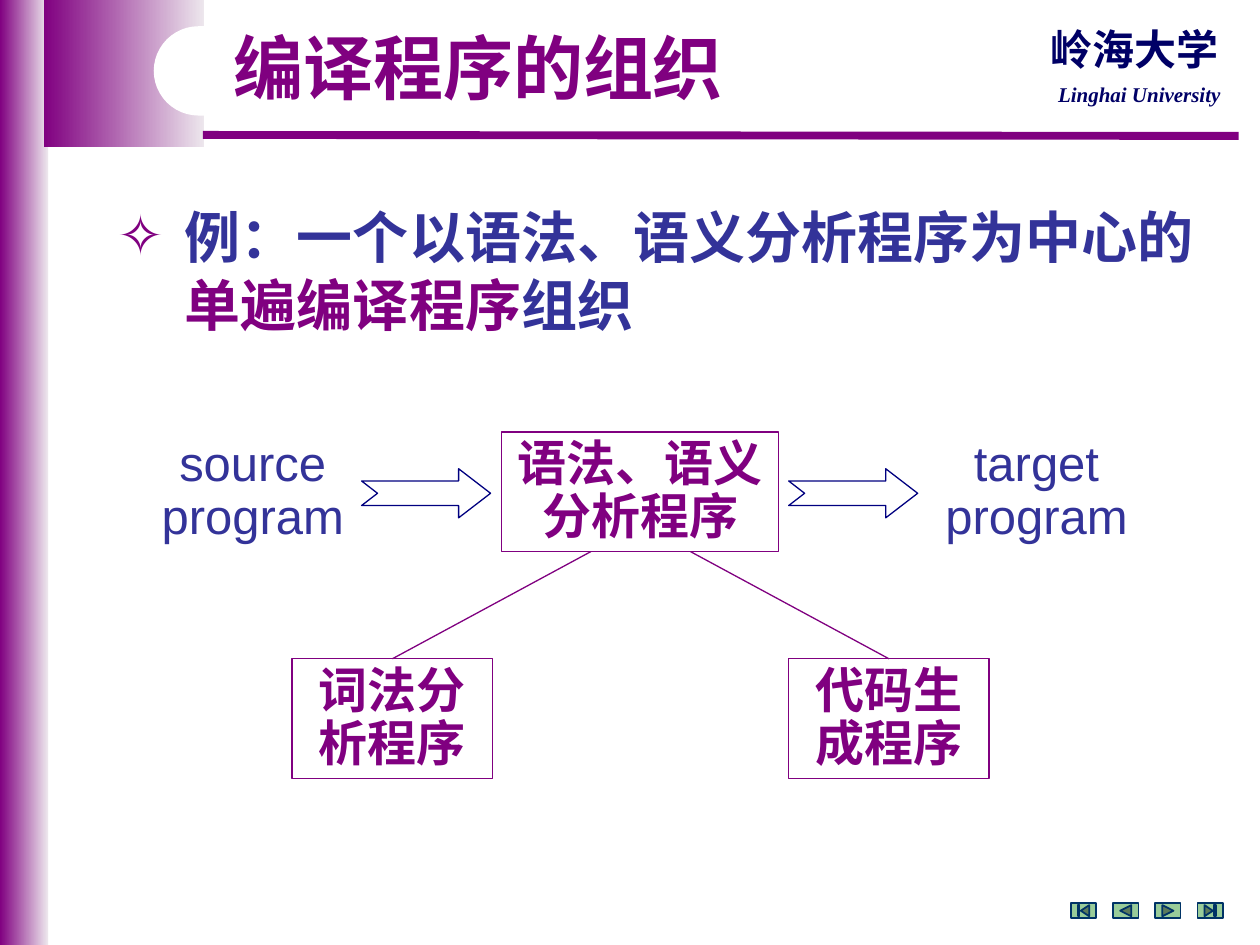
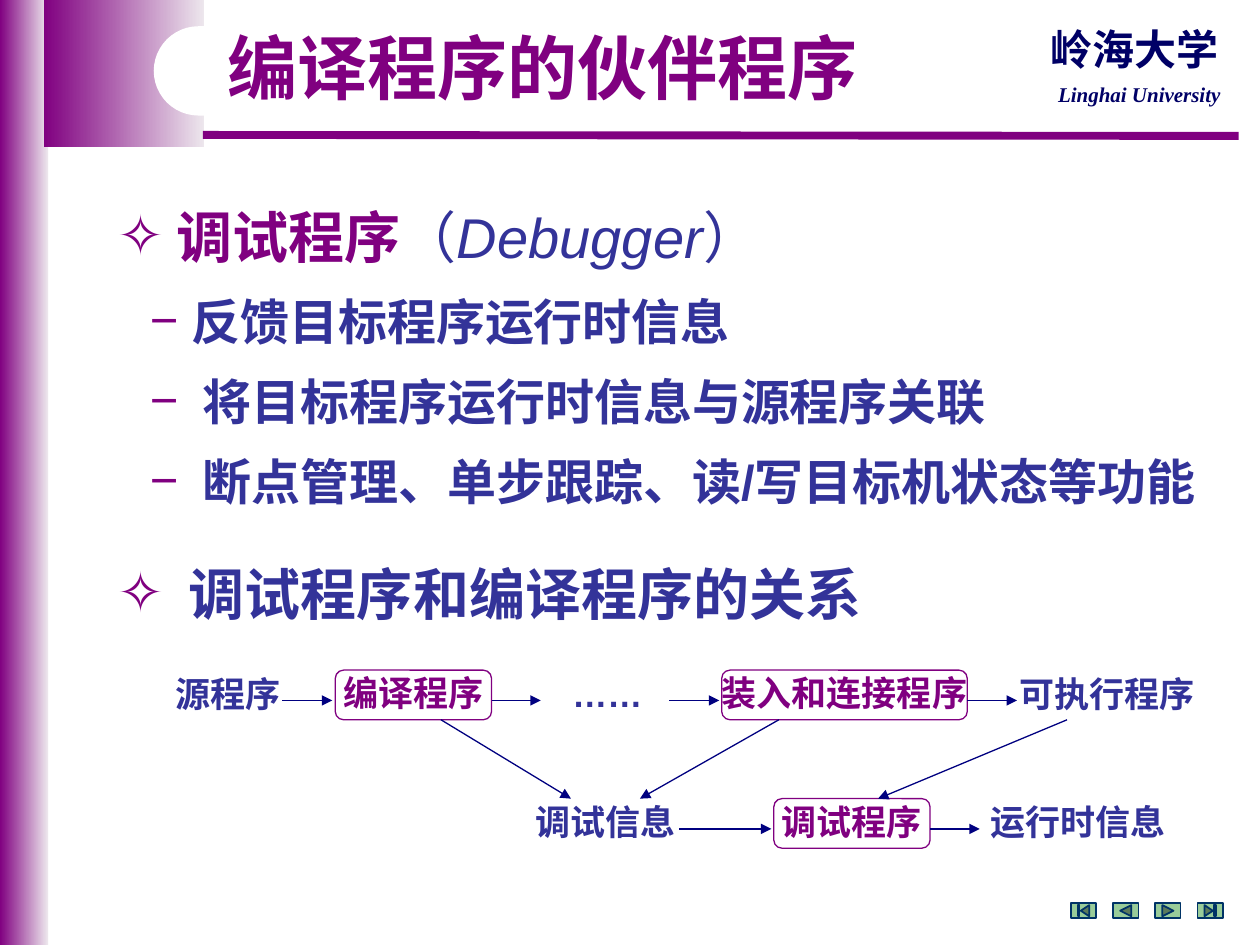
from lxml.etree import SubElement
from pptx import Presentation
from pptx.dml.color import RGBColor
from pptx.enum.shapes import MSO_CONNECTOR, MSO_SHAPE as SHAPE
from pptx.enum.text import MSO_ANCHOR as ANCHOR, MSO_AUTO_SIZE, PP_ALIGN as ALIGN
from pptx.oxml.ns import qn
from pptx.util import Cm, Pt

PURPLE, PALE, WHITE = "800080", "EDE7ED", "FFFFFF"
BLUE, NAVY, INK = "333399", "000080", "000066"
GREEN, TEAL = "99CC99", "003366"
LATIN, HAN, SERIF = "Arial", "Noto Sans CJK SC", "Times New Roman"
SINGLE, TIGHT = 1.21, 1.08  # line pitch as a multiple of the text size
TITLE_ONLY = 5


def rgb(color):
    return RGBColor.from_string(color)


def add_run(p, text, size, color, bold=True, italic=False, font=LATIN):
    r = p.add_run()
    r.text = text
    f = r.font
    f.size, f.bold, f.italic, f.name = Pt(size), bold, italic, font
    f.color.rgb = rgb(color)
    SubElement(r._r.get_or_add_rPr(), qn("a:ea"), typeface=HAN)


def setup_frame(shape, margin=0.25, anchor=ANCHOR.TOP, wrap=True):
    tf = shape.text_frame
    tf.word_wrap = wrap
    tf.auto_size = MSO_AUTO_SIZE.NONE
    tf.vertical_anchor = anchor
    tf.margin_left = tf.margin_right = Cm(margin)
    tf.margin_top = tf.margin_bottom = Cm(0.13)
    return tf


def write(shape, text, size, color, pitch=TIGHT, margin=0.25, anchor=ANCHOR.TOP,
          wrap=True, **fmt):
    """Put one centred paragraph into a shape."""
    p = setup_frame(shape, margin, anchor, wrap).paragraphs[0]
    p.alignment = ALIGN.CENTER
    p.line_spacing = Pt(size * pitch)
    add_run(p, text, size, color, **fmt)


def add_label(s, x, y, w, h, text, size, color, **fmt):
    write(s.shapes.add_textbox(Cm(x), Cm(y), Cm(w), Cm(h)), text, size, color, **fmt)


def add_preset(s, kind, x, y, w, h, fill=None, line=None, weight=0.75, adjust=()):
    sp = s.shapes.add_shape(kind, Cm(x), Cm(y), Cm(w), Cm(h))
    sp.shadow.inherit = False
    for i, value in enumerate(adjust):
        sp.adjustments[i] = value
    if fill:
        sp.fill.solid()
        sp.fill.fore_color.rgb = rgb(fill)
    else:
        sp.fill.background()
    if line:
        sp.line.color.rgb = rgb(line)
        sp.line.width = Pt(weight)
    else:
        sp.line.fill.background()
    return sp


def add_line(s, x1, y1, x2, y2, color, weight=0.75, arrow=False):
    c = s.shapes.add_connector(MSO_CONNECTOR.STRAIGHT, Cm(x1), Cm(y1), Cm(x2), Cm(y2))
    c.line.color.rgb = rgb(color)
    c.line.width = Pt(weight)
    if arrow:
        SubElement(c.line._get_or_add_ln(), qn("a:tailEnd"), type="triangle")
    SubElement(c.element.spPr, qn("a:effectLst"))


def add_bullet(p, char, at, text_at):
    """Hang the paragraph at text_at with its bullet at the given offset."""
    pPr = p._p.get_or_add_pPr()
    pPr.set("marL", str(Cm(text_at)))
    pPr.set("indent", str(Cm(at) - Cm(text_at)))
    color = SubElement(pPr, qn("a:buClr"))
    SubElement(color, qn("a:srgbClr"), val=PURPLE)
    SubElement(pPr, qn("a:buFont"), typeface=LATIN)
    SubElement(pPr, qn("a:buChar"), char=char)


def add_list(s, x, y, w, h, items):
    """items: (bullet, bullet offset, text offset, size, runs of (text, format))."""
    tf = setup_frame(s.shapes.add_textbox(Cm(x), Cm(y), Cm(w), Cm(h)))
    for i, (char, at, text_at, size, runs) in enumerate(items):
        p = tf.add_paragraph() if i else tf.paragraphs[0]
        add_bullet(p, char, at, text_at)
        p.line_spacing = Pt(size * SINGLE)
        if i:
            p.space_before = Pt(12)
        for text, fmt in runs:
            add_run(p, text, size, **fmt)


def star_item(text_at, *runs):
    return "✧", 0, text_at, 32, runs


def dash_item(text_at, text):
    return "−", 0.66, text_at, 28, [(text, dict(color=BLUE))]


def draw_frame(s):
    for box in [(0, 0, 0.97, 19.05), (0.89, 0, 3.23, 2.97)]:
        band = add_preset(s, SHAPE.RECTANGLE, *box)
        band.fill.gradient()
        band.fill.gradient_angle = 0
        for stop, position, color in zip(band.fill.gradient_stops, (0, 1), (PURPLE, PALE)):
            stop.position = position
            stop.color.rgb = rgb(color)
    add_line(s, 4.09, 2.72, 24.97, 2.74, PURPLE, weight=4.5)
    add_preset(s, SHAPE.ROUNDED_RECTANGLE, 3.1, 0.53, 9.19, 1.8, WHITE, adjust=[0.5])
    add_label(s, 20.9, 1.52, 4.14, 0.76, "Linghai University", 12, INK,
              pitch=SINGLE, margin=0, italic=True, font=SERIF)
    add_label(s, 20.9, 0.33, 3.94, 1.27, "岭海大学", 24, INK,
              pitch=SINGLE, margin=0, font=HAN)


def share_frame(s):
    """Draw the frame and move it to the layout, so that every slide shows it."""
    draw_frame(s)
    tree = s.slide_layout.shapes.element
    for sp in list(s.shapes):
        if not sp.is_placeholder:
            tree.append(sp.element)


def add_navigation(s, x, y):
    buttons = [SHAPE.ACTION_BUTTON_BEGINNING, SHAPE.ACTION_BUTTON_BACK_OR_PREVIOUS,
               SHAPE.ACTION_BUTTON_FORWARD_OR_NEXT, SHAPE.ACTION_BUTTON_END]
    for i, kind in enumerate(buttons):
        add_preset(s, kind, x + 0.85 * i, y, 0.51, 0.3, GREEN, TEAL, weight=1)


def set_title(s, text, width):
    title = s.shapes.title
    title.left, title.top, title.width, title.height = Cm(4.19), Cm(0.53), Cm(width), Cm(1.78)
    write(title, text, 40, PURPLE)


def add_compiler_diagram(s, x, y):
    box_h, low = 2.41, 4.57
    for dx, text in [(0, "source program"), (15.8, "target program")]:
        add_label(s, x + dx, y, 5.21, 2.39, text, 28, BLUE, bold=False)
    for dx in (4.8, 13.41):
        add_preset(s, SHAPE.NOTCHED_RIGHT_ARROW, x + dx, y + 0.74, 2.6, 0.99,
                   WHITE, NAVY, adjust=[0.5, 0.65])
    for dx, dy, w, text in [(7.62, 0, 5.59, "语法、语义分析程序"),
                            (3.4, low, 4.04, "词法分析程序"),
                            (13.41, low, 4.04, "代码生成程序")]:
        box = add_preset(s, SHAPE.RECTANGLE, x + dx, y + dy, w, box_h, line=PURPLE)
        write(box, text, 28, PURPLE)
    for top_x, low_x in [(9.42, 5.42), (11.43, 15.43)]:
        add_line(s, x + top_x, y + box_h, x + low_x, y + low, PURPLE)


def add_debug_flow(s, x, y):
    box_h, low, axis = 1.0, 2.59, 0.61
    for dx, dy, w, text in [(0, 0, 3, "源程序"), (7.95, 0, 2.39, "……"),
                            (17.19, 0, 4.06, "可执行程序"),
                            (7.21, low, 3.78, "调试信息"), (16.61, low, 4.06, "运行时信息")]:
        add_label(s, x + dx, y + dy, w, box_h, text, 20, BLUE, margin=0)
    for dx, dy, w, text in [(3.66, 0, 3.15, "编译程序"), (11.45, 0, 4.95, "装入和连接程序"),
                            (12.5, low, 3.15, "调试程序")]:
        box = add_preset(s, SHAPE.ROUNDED_RECTANGLE, x + dx, y + dy, w, box_h, WHITE, PURPLE)
        write(box, text, 20, PURPLE, margin=0, anchor=ANCHOR.MIDDLE, wrap=False)
    for start, end, dy in [(2.59, 3.6, 0), (6.81, 7.8, 0), (10.39, 11.4, 0),
                           (16.4, 17.4, 0), (10.59, 12.45, low), (15.65, 16.65, low)]:
        add_line(s, x + start, y + dy + axis, x + end, y + dy + axis, NAVY, arrow=True)
    for start, end in [(5.79, 8.41), (12.6, 9.8), (18.41, 14.6)]:
        add_line(s, x + start, y + box_h, x + end, y + low, NAVY, arrow=True)


def build_organisation(s):
    set_title(s, "编译程序的组织", 10.9)
    add_list(s, 2.11, 3.94, 22.91, 2.97, [
        star_item(1.37, ("例：一个以语法、语义分析程序为中心的", dict(color=BLUE)),
                  ("单遍编译程序", dict(color=PURPLE)), ("组织", dict(color=BLUE)))])
    add_compiler_diagram(s, 2.49, 8.71)


def build_companions(s):
    plain = dict(color=BLUE, bold=False)
    set_title(s, "编译程序的伙伴程序", 13.49)
    add_list(s, 2.11, 3.94, 23.01, 6.43, [
        star_item(1.2, ("调试程序", dict(color=PURPLE)), ("（", plain),
                  ("Debugger", dict(plain, italic=True)), ("）", plain)),
        dash_item(1.5, "反馈目标程序运行时信息"),
        dash_item(1.73, "将目标程序运行时信息与源程序关联"),
        dash_item(1.73, "断点管理、单步跟踪、读/写目标机状态等功能")])
    add_list(s, 2.11, 11.13, 15.8, 1.6, [
        star_item(1.45, ("调试程序和编译程序的关系", dict(color=BLUE)))])
    add_debug_flow(s, 3.1, 13.51)


def main():
    prs = Presentation()
    prs.slide_width, prs.slide_height = Cm(25.4), Cm(19.05)
    for i, build in enumerate([build_organisation, build_companions]):
        s = prs.slides.add_slide(prs.slide_layouts[TITLE_ONLY])
        if i == 0:
            share_frame(s)
        add_navigation(s, 21.59, 18.21)
        build(s)
    prs.save("out.pptx")


if __name__ == "__main__":
    main()
